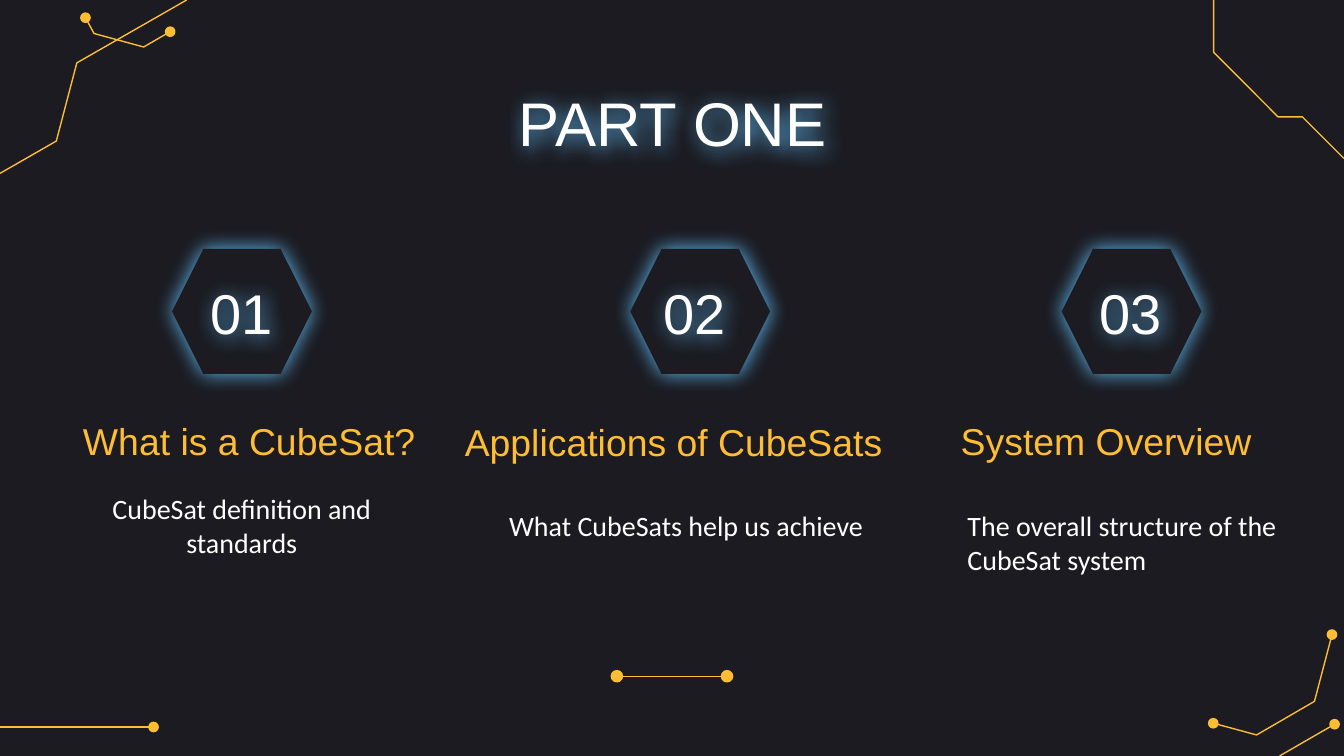
from lxml.etree import SubElement
from pptx import Presentation
from pptx.dml.color import RGBColor
from pptx.enum.shapes import MSO_CONNECTOR as Link, MSO_SHAPE as Shape
from pptx.enum.text import MSO_ANCHOR as Anchor, PP_ALIGN as Align
from pptx.oxml.ns import qn
from pptx.util import Pt

DARK = RGBColor(0x1B, 0x1B, 0x21)
GOLD = RGBColor(0xFF, 0xBD, 0x33)
WHITE = RGBColor(0xFF, 0xFF, 0xFF)
GLOW = RGBColor(0x60, 0xBB, 0xF5)

# Content: text and (left, top, width, height) in points
TITLE = ("PART ONE", (56.9, 42.5, 607, 45.4))
TOPICS = [
    {"num": ("01", 101.5), "hex": 92.2,
     "head": ("What is a CubeSat?", (37.4, 218.9, 204.5, 34.6)),
     "desc": ("CubeSat definition and standards",
              (37.4, 255.6, 184.3, 51.8)), "align": Align.CENTER},
    {"num": ("02", 344.2), "hex": 337.7,
     "head": ("Applications of CubeSats", (241.9, 213.8, 265.7, 45.4)),
     "desc": ("What CubeSats help us achieve",
              (265.7, 255.6, 218.2, 51.8)), "align": Align.LEFT},
    {"num": ("03", 578.2), "hex": 568.8,
     "head": ("System Overview", (507.6, 218.9, 197.3, 34.6)),
     "desc": ("The overall structure of the CubeSat system",
              (511.2, 253.4, 190.8, 74.2)), "align": Align.LEFT},
]

# Circuit traces: points, dot size, indexes of the points that carry a dot
TRACES = [
    ([(91.2, 17), (77, 25.2), (50.4, 18), (45.8, 9.5)], 5, (0, -1)),
    ([(0, 92.9), (30.2, 75.6), (41.2, 33.7), (100, 0)], 0, ()),
    ([(650.2, 0), (650.2, 28), (684.7, 62.6), (697.7, 62.6), (720, 84.9)],
     0, ()),
    ([(0, 389.5), (82.3, 389.5)], 5, (-1,)),
    ([(715, 388), (685.5, 405)], 5, (0,)),
    ([(713.6, 340), (704.2, 375.8), (673.2, 393.8), (650, 387.5)],
     5, (0, -1)),
    ([(330.5, 362.3), (389.5, 362.3)], 6, (0, -1)),
]

deck = Presentation()
deck.slide_width, deck.slide_height = Pt(720), Pt(405)
slide = deck.slides.add_slide(deck.slide_layouts[5])
slide.background.fill.solid()
slide.background.fill.fore_color.rgb = DARK
shapes = slide.shapes


def set_glow(shape, dist=0):
    """Give a shape, or its text if unfilled, a soft blue halo."""
    prop = shape._element.spPr
    for old in prop.findall(qn("a:effectLst")):
        prop.remove(old)
    shade = SubElement(SubElement(prop, qn("a:effectLst")),
                       qn("a:outerShdw"), blurRad=str(Pt(11.2)),
                       dist=str(Pt(dist)), dir="2700000",
                       algn="bl", rotWithShape="0")
    SubElement(shade, qn("a:srgbClr"), val=str(GLOW))


def set_text(box, text, size, color, font="Arial", align=Align.LEFT):
    frame = box.text_frame
    frame.text = text
    frame.word_wrap = True
    frame.vertical_anchor = Anchor.MIDDLE
    frame.margin_left = frame.margin_right = Pt(7.2)
    frame.margin_top = frame.margin_bottom = Pt(7.2)
    para = frame.paragraphs[0]
    para.alignment = align
    para.font.name, para.font.size = font, Pt(size)
    para.font.color.rgb = color


def add_text(area, *style):
    box = shapes.add_textbox(*map(Pt, area))
    set_text(box, *style)
    return box


def draw_trace(points, size, ends):
    spots = [(Pt(x), Pt(y)) for x, y in points]
    if len(spots) == 2:
        trace = shapes.add_connector(Link.STRAIGHT, *spots[0], *spots[1])
        SubElement(trace._element.spPr, qn("a:effectLst"))
    else:
        pen = shapes.build_freeform(*spots[0])
        pen.add_line_segments(spots[1:], close=False)
        trace = pen.convert_to_shape()
        trace.fill.background()
        trace.shadow.inherit = False
    parts = [trace]
    for end in ends:
        x, y = points[end]
        dot = shapes.add_shape(Shape.OVAL, Pt(x - size / 2),
                               Pt(y - size / 2), Pt(size), Pt(size))
        dot.fill.solid()
        dot.fill.fore_color.rgb = GOLD
        dot.shadow.inherit = False
        parts.append(dot)
    for part in parts:
        part.line.color.rgb = GOLD
        part.line.width = Pt(0.75)


# Corner and footer traces
for trace in TRACES:
    draw_trace(*trace)

# Title
head = shapes.title
text, area = TITLE
head.left, head.top, head.width, head.height = map(Pt, area)
set_text(head, text, 33, WHITE, "Arial", Align.CENTER)
set_glow(head, 2)

# Topics: hexagon, number, heading, description
for topic in TOPICS:
    badge = shapes.add_shape(Shape.HEXAGON, Pt(topic["hex"]), Pt(133.4),
                             Pt(74.9), Pt(67))
    badge.fill.solid()
    badge.fill.fore_color.rgb = DARK
    badge.line.fill.background()
    set_glow(badge)

    text, left = topic["num"]
    num = add_text((left, 144.7, 55.4, 44.6), text, 30, WHITE, "Arial",
                   Align.CENTER)
    set_glow(num, 2)

    text, area = topic["head"]
    add_text(area, text, 20, GOLD)
    text, area = topic["desc"]
    add_text(area, text, 15, WHITE, "Calibri", topic["align"])

deck.save("out.pptx")
